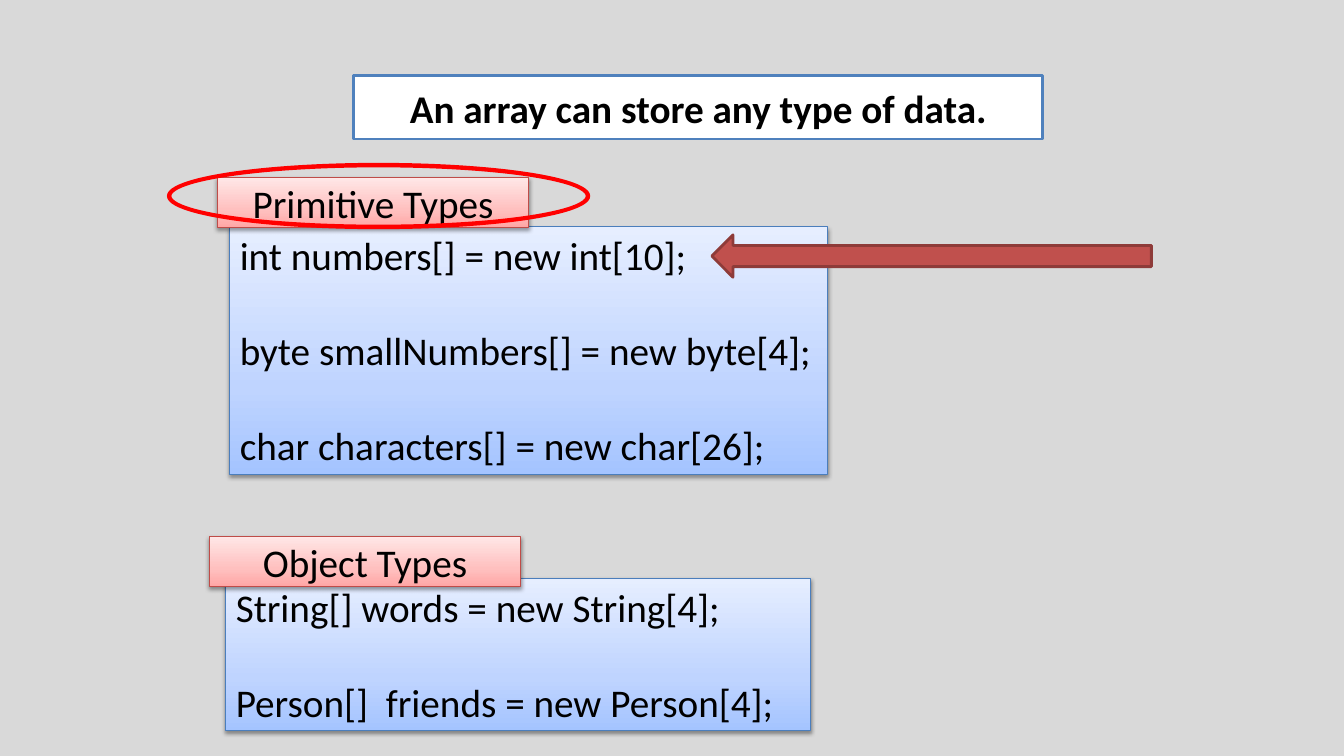
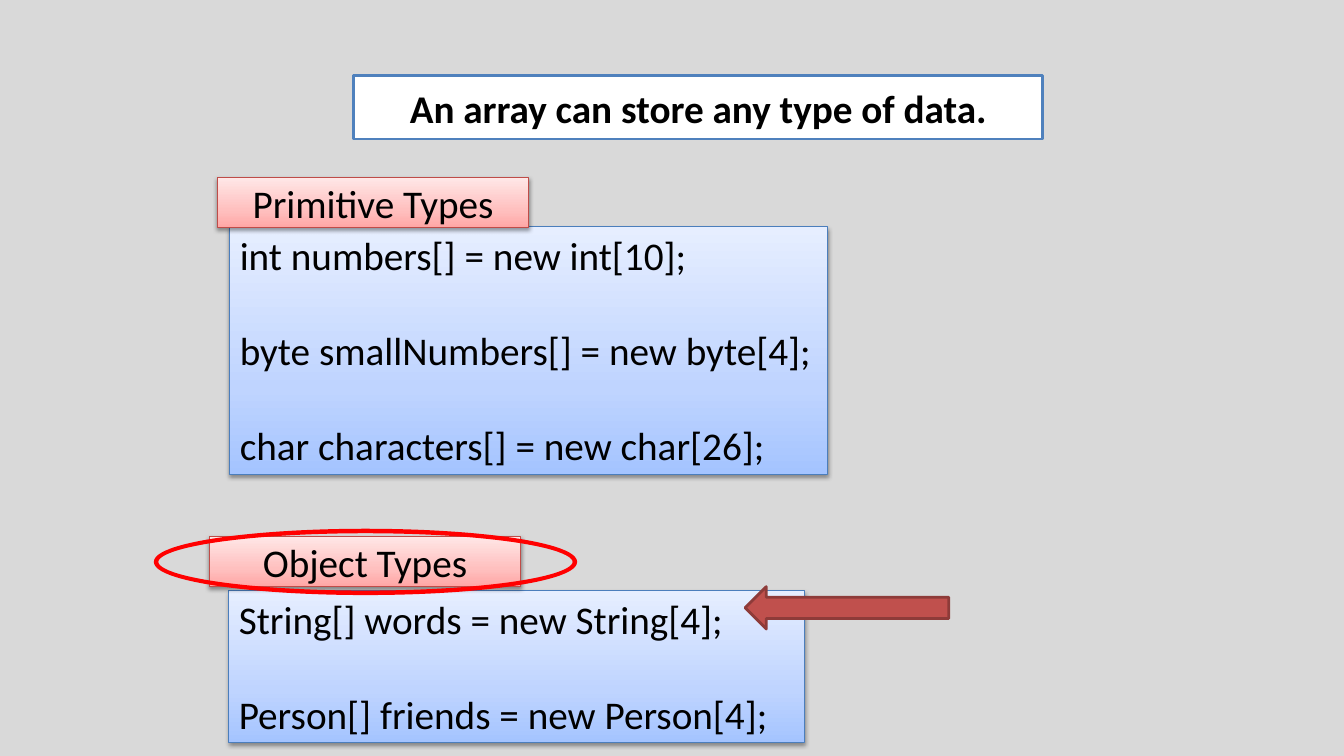
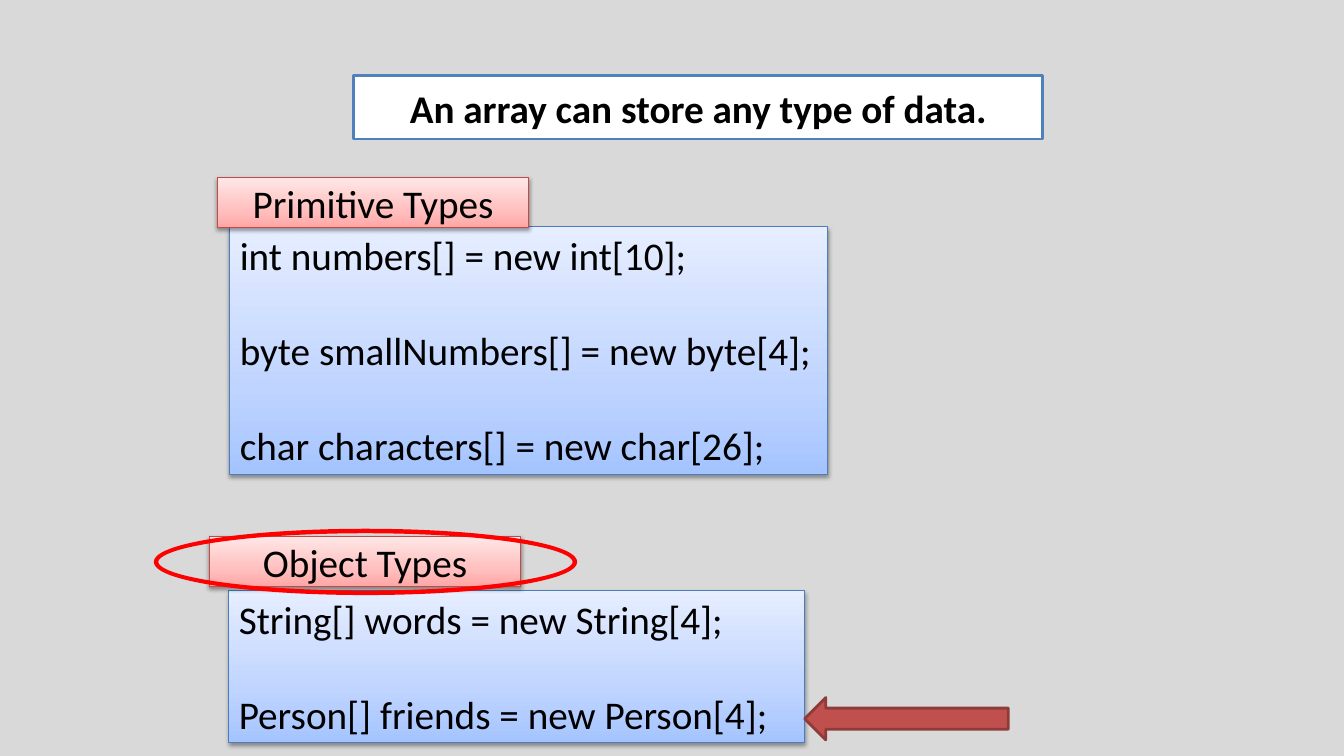
import copy

import lxml.etree
import pptx
import pptx.util
import pptx.dml.color
import pptx.enum.shapes
import pptx.enum.text
import pptx.oxml.ns

Inches = pptx.util.Inches
Pt = pptx.util.Pt
SHAPE = pptx.enum.shapes.MSO_SHAPE
ALIGN = pptx.enum.text.PP_ALIGN
ANCHOR = pptx.enum.text.MSO_ANCHOR
qn = pptx.oxml.ns.qn

HUES = {
    "back": "D9D9D9", "white": "FFFFFF", "ink": "000000",
    "frame": "4F81BD", "ring": "FF0000",
    "arrow": "C0504D", "edge": "8E3B39",
    "blue_low": "A4C4FF", "blue_mid": "BFD4FF", "blue_top": "E6EEFF",
    "blue_line": "4B7EBC",
    "red_low": "FFA6A5", "red_mid": "FFC0BF", "red_top": "FFE7E7",
    "red_line": "BF4C48",
}
FONT = "Calibri"
SIZE = 28
GAP = 34.2
TITLE = "An array can store any type of data."
BASIC = [
    "int numbers[] = new int[10];",
    "byte smallNumbers[] = new byte[4];",
    "char characters[] = new char[26];",
]
WORDS = "String[] words = new String[4];"
FIRST = [WORDS, "Person[]  friends = new Person[4];"]
LATER = [WORDS, "Person[] friends = new Person[4];"]

SLIDES = [
    {"code": (0.16, 0.42, 5.8), "lines": FIRST,
     "ring": (1.67, 1.63), "arrow": (7.06, 2.33, 4.36)},
    {"code": (0.19, 0.54, 5.71), "lines": LATER,
     "ring": (1.54, 5.26), "arrow": (7.39, 5.82, 2.02)},
    {"code": (0.19, 0.54, 5.71), "lines": LATER,
     "ring": (1.54, 5.26), "arrow": (7.98, 6.92, 2.02)},
]


def hue(name):
    return pptx.dml.color.RGBColor.from_string(HUES[name])


def paint(shape, fill, line, width):
    shape.fill.solid()
    shape.fill.fore_color.rgb = hue(fill)
    shape.line.color.rgb = hue(line)
    shape.line.width = Pt(width)


def shade(shape, tone):
    fill = shape.fill
    fill.gradient()
    fill.gradient_angle = 90
    stops = shape.element.spPr.find(qn("a:gradFill")).find(qn("a:gsLst"))
    stops.insert(1, copy.deepcopy(stops[0]))
    parts = zip(fill.gradient_stops, (0, 0.35, 1), ("low", "mid", "top"))
    for stop, place, part in parts:
        stop.position = place
        stop.color.rgb = hue(f"{tone}_{part}")
    shape.line.color.rgb = hue(f"{tone}_line")
    shape.line.width = Pt(0.75)


def shadow(shape):
    effects = shape.element.spPr.find(qn("a:effectLst"))
    outer = lxml.etree.SubElement(
        effects, qn("a:outerShdw"), blurRad=str(Pt(3.1)),
        dist=str(Pt(1.6)), dir="5400000", rotWithShape="0")
    tint = lxml.etree.SubElement(outer, qn("a:srgbClr"), val=HUES["ink"])
    lxml.etree.SubElement(tint, qn("a:alpha"), val="38000")


def write(shape, lines, align, anchor, bold=False):
    frame = shape.text_frame
    frame.word_wrap = True
    frame.auto_size = pptx.enum.text.MSO_AUTO_SIZE.NONE
    frame.vertical_anchor = anchor
    for i, line in enumerate(lines):
        para = frame.add_paragraph() if i else frame.paragraphs[0]
        para.alignment = align
        para.space_before = Pt(GAP if i else 0)
        run = para.add_run()
        run.text = line
        font = run.font
        font.name = FONT
        font.size = Pt(SIZE)
        font.bold = bold
        font.color.rgb = hue("ink")


def add(slide, kind, x, y, w, h):
    shape = slide.shapes.add_shape(
        kind, Inches(x), Inches(y), Inches(w), Inches(h))
    shape.shadow.inherit = False
    return shape


def card(slide, tone, box, lines, align, anchor):
    shape = add(slide, SHAPE.RECTANGLE, *box)
    shade(shape, tone)
    shadow(shape)
    write(shape, lines, align, anchor)


def group(slide, x, y, label, code, lines):
    dx, dy, w = code
    h = 0.95 * len(lines) - 0.39
    card(slide, "blue", (x + dx, y + dy, w, h), lines,
         ALIGN.LEFT, ANCHOR.TOP)
    card(slide, "red", (x, y, 3.08, 0.5), [label],
         ALIGN.CENTER, ANCHOR.MIDDLE)


def banner(slide, x, y, w, h):
    title = slide.shapes.title
    title.left, title.top = Inches(x), Inches(y)
    title.width, title.height = Inches(w), Inches(h)
    form = lxml.etree.SubElement(
        title.element.spPr, qn("a:prstGeom"), prst="roundRect")
    lxml.etree.SubElement(form, qn("a:avLst"))
    paint(title, "white", "frame", 2)
    write(title, [TITLE], ALIGN.CENTER, ANCHOR.MIDDLE, True)


def ring(slide, x, y):
    shape = add(slide, SHAPE.DONUT, x, y, 4.17, 0.63)
    shape.adjustments[0] = 0.026
    paint(shape, "ring", "ring", 2)


def arrow(slide, x, y, w):
    shape = add(slide, SHAPE.LEFT_ARROW, x, y, w, 0.42)
    paint(shape, "arrow", "edge", 2)


def build(deck, item):
    slide = deck.slides.add_slide(deck.slide_layouts[5])
    banner(slide, 3.51, 0.75, 6.83, 0.63)
    group(slide, 2.16, 1.76, "Primitive Types", (0.12, 0.49, 5.93), BASIC)
    group(slide, 2.08, 5.32, "Object Types", item["code"], item["lines"])
    ring(slide, *item["ring"])
    arrow(slide, *item["arrow"])


def main():
    deck = pptx.Presentation()
    deck.slide_width = Inches(13.33)
    deck.slide_height = Inches(7.5)
    back = deck.slide_master.background.fill
    back.solid()
    back.fore_color.rgb = hue("back")
    for item in SLIDES:
        build(deck, item)
    deck.save("out.pptx")


if __name__ == "__main__":
    main()
